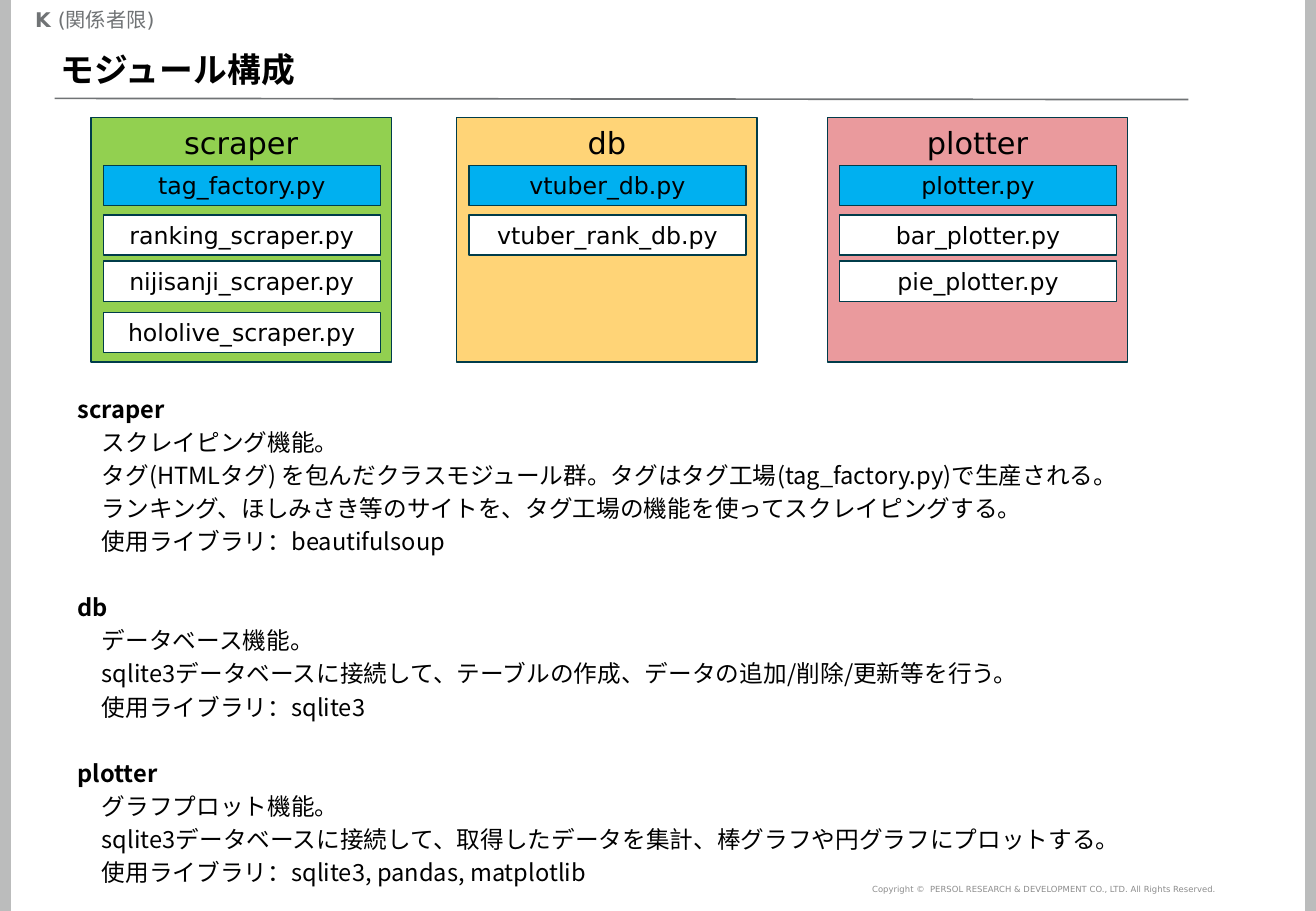
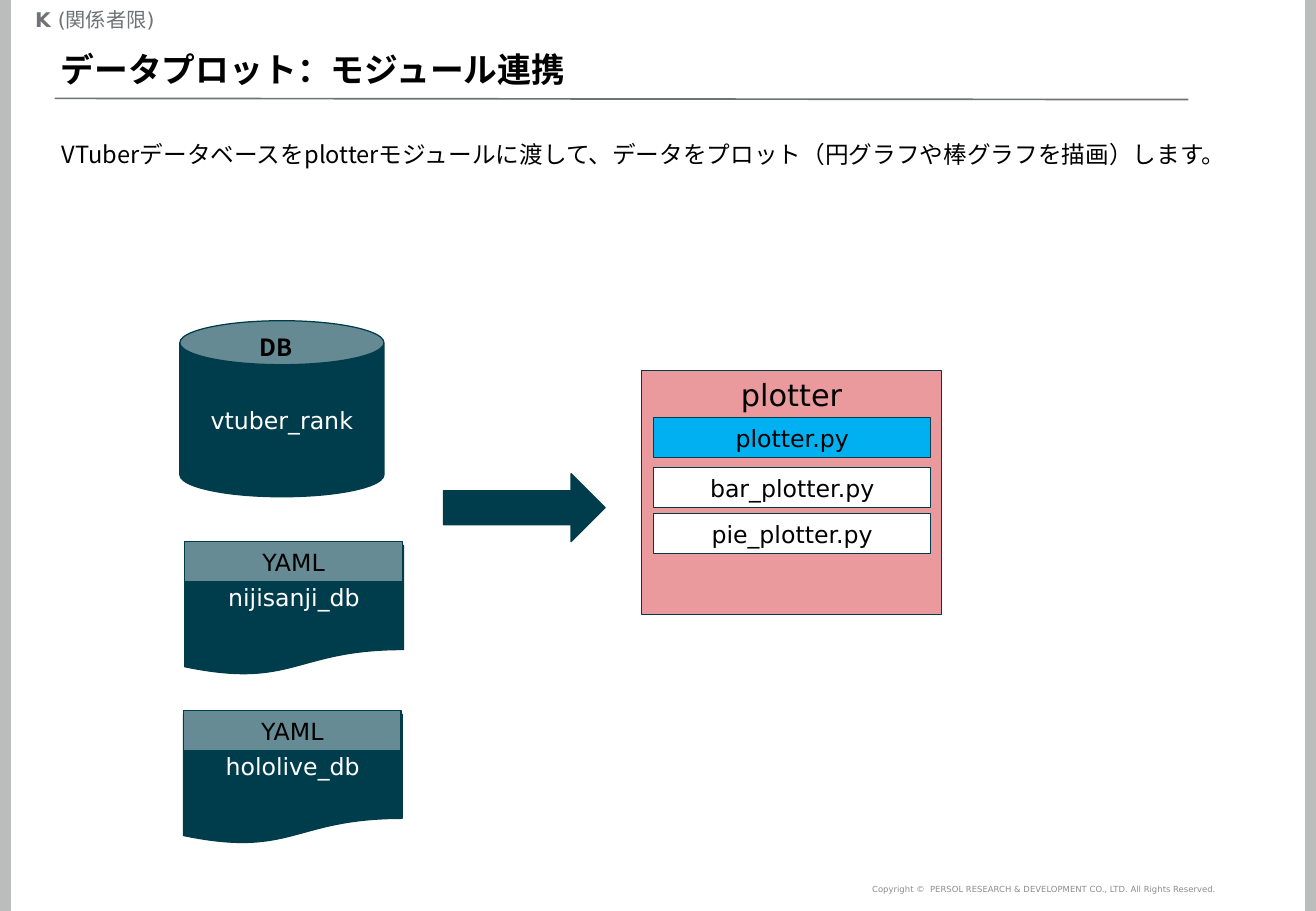
from lxml import etree
from pptx import Presentation
from pptx.dml.color import RGBColor
from pptx.enum.shapes import MSO_CONNECTOR, MSO_SHAPE
from pptx.enum.text import MSO_ANCHOR, PP_ALIGN
from pptx.oxml.ns import qn
from pptx.util import Inches, Pt

COLORS = {
    "black": "000000", "white": "FFFFFF", "band": "BBBCBC", "gray": "707375",
    "copyright": "8C8C8C", "outline": "003C4A", "teal": "003D4C",
    "light_teal": "668B94", "green": "92D050", "yellow": "FFD477",
    "pink": "EA9A9D", "blue": "00B0F0",
}
SANS = "DejaVu Sans"
GOTHIC = "Noto Sans CJK JP"
SLIDE_WIDTH, SLIDE_HEIGHT = 10.83, 7.5
BAND_WIDTH = 0.09
CARD_SIZE = (2.47, 2.01)
ROW_SIZE = (2.28, 0.33)
ROW_OFFSETS = (0.39, 0.8, 1.18, 1.6)
PLOTTER = ("plotter", "pink", ("plotter.py", "bar_plotter.py", "pie_plotter.py"))
MODULES = (
    (0.75, ("scraper", "green", ("tag_factory.py", "ranking_scraper.py",
                                 "nijisanji_scraper.py", "hololive_scraper.py"))),
    (3.76, ("db", "yellow", ("vtuber_db.py", "vtuber_rank_db.py"))),
    (6.81, PLOTTER),
)
DESCRIPTIONS = (
    ("scraper", (
        "スクレイピング機能。",
        "タグ(HTMLタグ) を包んだクラスモジュール群。タグはタグ工場(tag_factory.py)で生産される。",
        "ランキング、ほしみさき等のサイトを、タグ工場の機能を使ってスクレイピングする。",
        "使用ライブラリ：beautifulsoup",
    )),
    ("db", (
        "データベース機能。",
        "sqlite3データベースに接続して、テーブルの作成、データの追加/削除/更新等を行う。",
        "使用ライブラリ：sqlite3",
    )),
    ("plotter", (
        "グラフプロット機能。",
        "sqlite3データベースに接続して、取得したデータを集計、棒グラフや円グラフにプロットする。",
        "使用ライブラリ：sqlite3, pandas, matplotlib",
    )),
)


def color(name):
    return RGBColor.from_string(COLORS[name])


def write(paragraph, text, size=14, font=SANS, ink="black", bold=False,
          align=PP_ALIGN.LEFT):
    paragraph.alignment = align
    run = paragraph.add_run()
    run.text = text
    run.font.name = font
    run.font.size = Pt(size)
    run.font.bold = bold
    run.font.color.rgb = color(ink)
    east_asian = etree.SubElement(run.font._element, qn("a:ea"))
    east_asian.set("typeface", GOTHIC)


def add_text_box(slide, left, top, width, height, anchor=MSO_ANCHOR.TOP):
    shape = slide.shapes.add_textbox(
        Inches(left), Inches(top), Inches(width), Inches(height))
    frame = shape.text_frame
    frame.word_wrap = True
    frame.vertical_anchor = anchor
    return frame


def add_box(slide, kind, left, top, width, height, fill, text="",
            anchor=MSO_ANCHOR.MIDDLE, outline="outline", **text_format):
    shape = slide.shapes.add_shape(
        kind, Inches(left), Inches(top), Inches(width), Inches(height))
    shape.shadow.inherit = False
    shape.fill.solid()
    shape.fill.fore_color.rgb = color(fill)
    if outline:
        shape.line.color.rgb = color(outline)
        shape.line.width = Pt(0.75)
    else:
        shape.line.fill.background()
    if text:
        frame = shape.text_frame
        frame.word_wrap = True
        frame.vertical_anchor = anchor
        write(frame.paragraphs[0], text, align=PP_ALIGN.CENTER, **text_format)


def add_rule(slide):
    connector = slide.shapes.add_connector(
        MSO_CONNECTOR.STRAIGHT, Inches(0.45), Inches(0.81), Inches(9.78), Inches(0.82))
    connector.line.color.rgb = color("gray")
    connector.line.width = Pt(1)
    etree.SubElement(connector._element.spPr, qn("a:effectLst"))


def add_base_slide(presentation, title):
    slide = presentation.slides.add_slide(presentation.slide_layouts[6])
    footer = add_text_box(slide, 4.54, 7.2, 5.57, 0.24, MSO_ANCHOR.MIDDLE)
    write(footer.paragraphs[0],
          "Copyright ©  PERSOL RESEARCH & DEVELOPMENT CO., LTD. All Rights Reserved.",
          size=5, ink="copyright", align=PP_ALIGN.RIGHT)
    for left in (0, SLIDE_WIDTH - BAND_WIDTH):
        add_box(slide, MSO_SHAPE.FLOWCHART_PROCESS, left, 0, BAND_WIDTH, SLIDE_HEIGHT,
                "band", outline=None)
    marking = add_text_box(slide, 0.19, 0.01, 2.09, 0.3).paragraphs[0]
    write(marking, "K ", size=12, ink="gray", bold=True)
    write(marking, "(関係者限)", size=12, ink="gray")
    add_rule(slide)
    heading = add_text_box(slide, 0.4, 0.32, 10, 0.5, MSO_ANCHOR.MIDDLE)
    write(heading.paragraphs[0], title, size=20, font=GOTHIC, bold=True)
    return slide


def add_body(slide, left, top, width, height, lines):
    frame = add_text_box(slide, left, top, width, height)
    frame.margin_bottom = 0
    for index, (text, bold, indent, space) in enumerate(lines):
        paragraph = frame.add_paragraph() if index else frame.paragraphs[0]
        paragraph.line_spacing = Pt(16.8)
        if index:
            paragraph.space_before = Pt(space)
        paragraph._p.get_or_add_pPr().set("marL", str(Inches(indent)))
        write(paragraph, text, font=GOTHIC, bold=bold)


def description_lines():
    for name, details in DESCRIPTIONS:
        yield name, True, 0, 22.4
        for detail in details:
            yield detail, False, 0.2, 2.8


def add_module(slide, left, top, module):
    name, fill, files = module
    add_box(slide, MSO_SHAPE.RECTANGLE, left, top, *CARD_SIZE, fill, name,
            anchor=MSO_ANCHOR.TOP, size=18)
    for index, (offset, file_name) in enumerate(zip(ROW_OFFSETS, files)):
        add_box(slide, MSO_SHAPE.RECTANGLE, left + 0.1, top + offset, *ROW_SIZE,
                "white" if index else "blue", file_name, anchor=MSO_ANCHOR.TOP)


def add_database(slide, left, top, name):
    add_box(slide, MSO_SHAPE.CAN, left, top, 1.68, 1.45, "teal", name, ink="white")
    label = add_text_box(slide, left + 0.56, top + 0.05, 0.5, 0.33, MSO_ANCHOR.MIDDLE)
    label.word_wrap = False
    write(label.paragraphs[0], "DB", font=GOTHIC, bold=True)


def add_yaml_file(slide, left, top, name):
    add_box(slide, MSO_SHAPE.FLOWCHART_DOCUMENT, left, top + 0.03, 1.8, 1.07,
            "teal", name, ink="white")
    add_box(slide, MSO_SHAPE.RECTANGLE, left, top, 1.79, 0.33, "light_teal", "YAML")


def add_structure_slide(presentation):
    slide = add_base_slide(presentation, "モジュール構成")
    add_body(slide, 0.54, 3.2, 10.01, 4.19, description_lines())
    for left, module in MODULES:
        add_module(slide, left, 0.97, module)


def add_plot_slide(presentation):
    slide = add_base_slide(presentation, "データプロット：モジュール連携")
    message = ("VTuberデータベースをplotterモジュールに渡して、"
               "データをプロット（円グラフや棒グラフを描画）します。")
    add_body(slide, 0.41, 1.1, 10.01, 0.68, [(message, False, 0, 0)])
    add_module(slide, 5.28, 3.05, PLOTTER)
    add_database(slide, 1.48, 2.64, "vtuber_rank")
    add_box(slide, MSO_SHAPE.RIGHT_ARROW, 3.65, 3.9, 1.33, 0.56, "teal")
    add_yaml_file(slide, 1.52, 4.46, "nijisanji_db")
    add_yaml_file(slide, 1.51, 5.85, "hololive_db")


def main():
    presentation = Presentation()
    presentation.slide_width = Inches(SLIDE_WIDTH)
    presentation.slide_height = Inches(SLIDE_HEIGHT)
    add_structure_slide(presentation)
    add_plot_slide(presentation)
    presentation.save("out.pptx")


if __name__ == "__main__":
    main()
